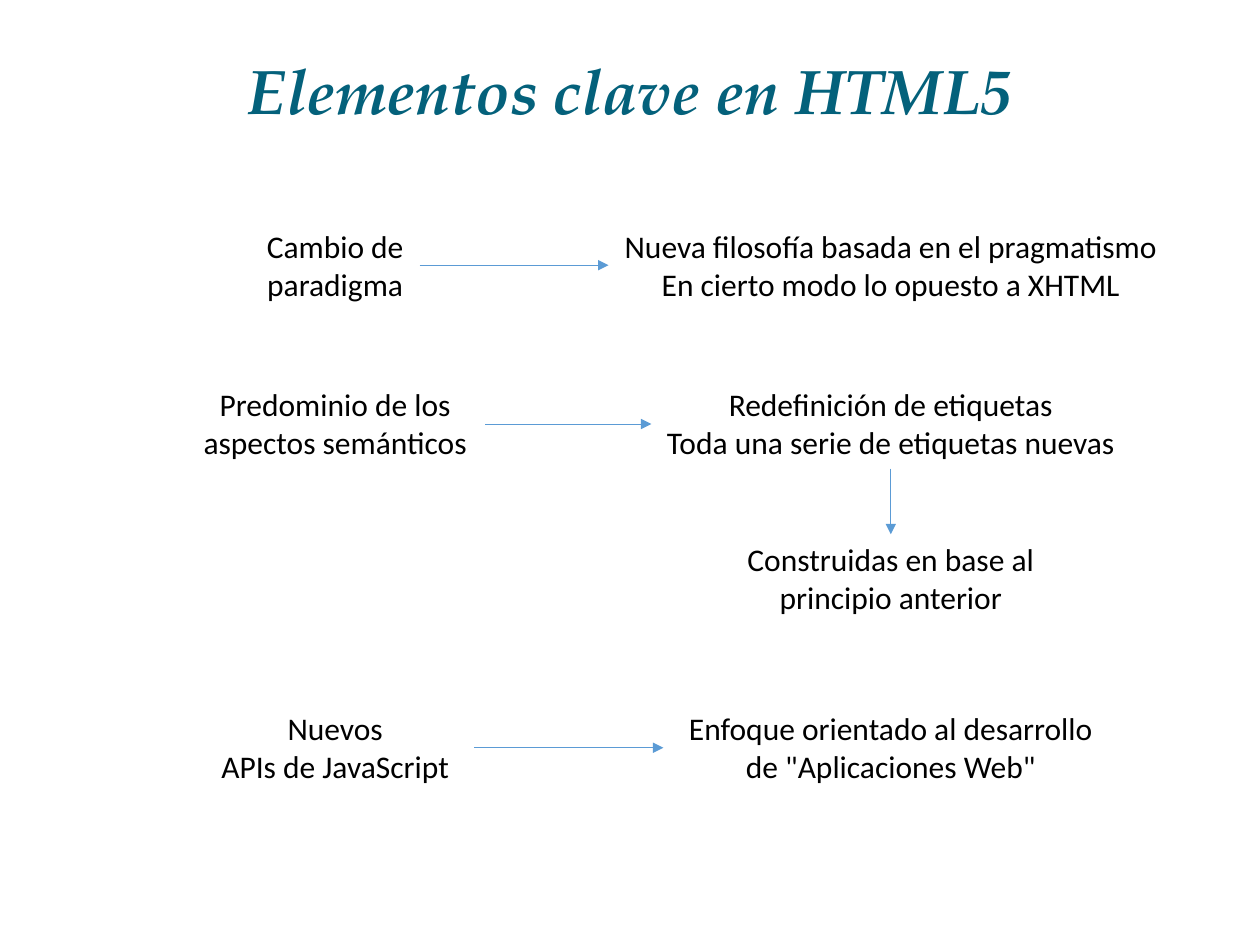
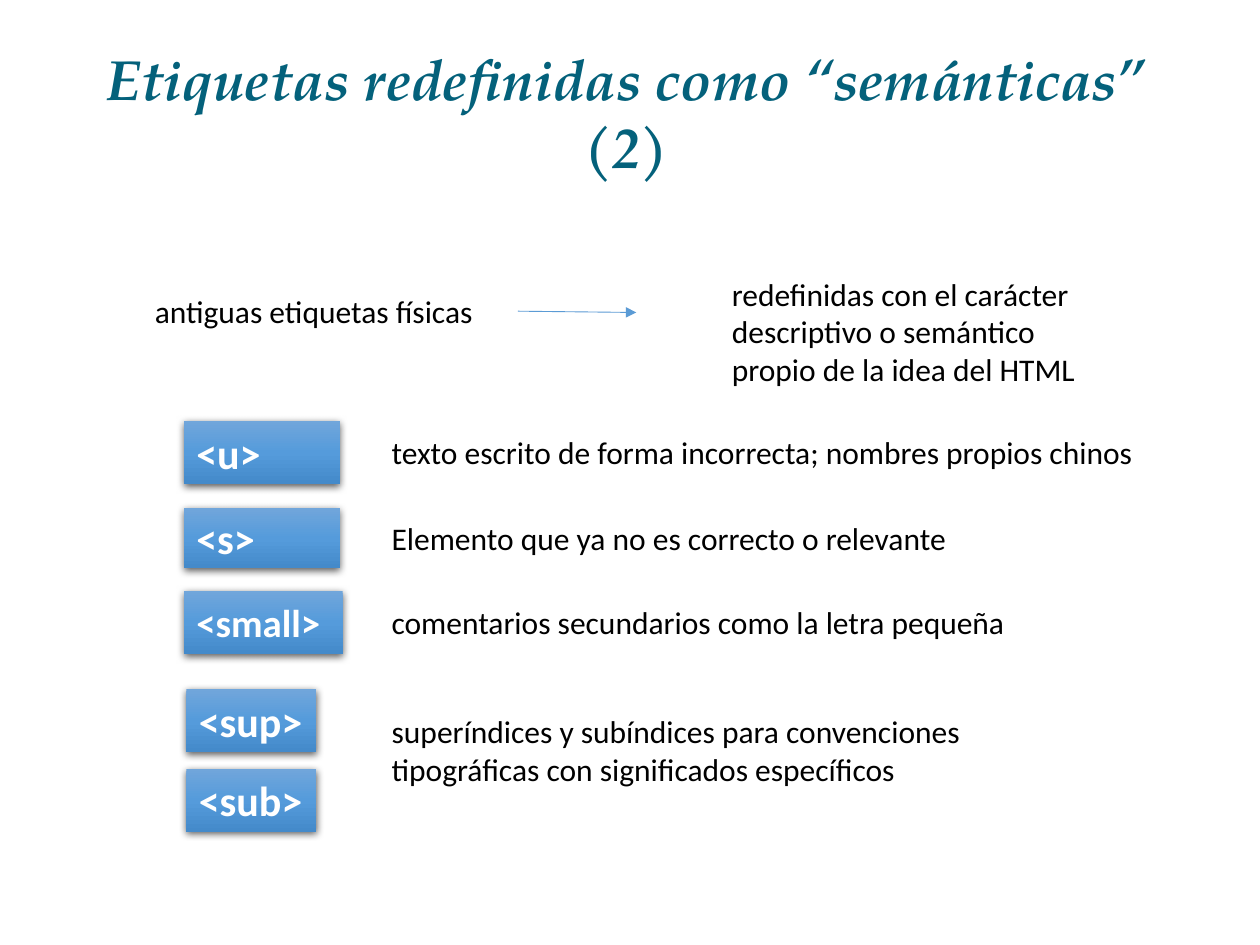
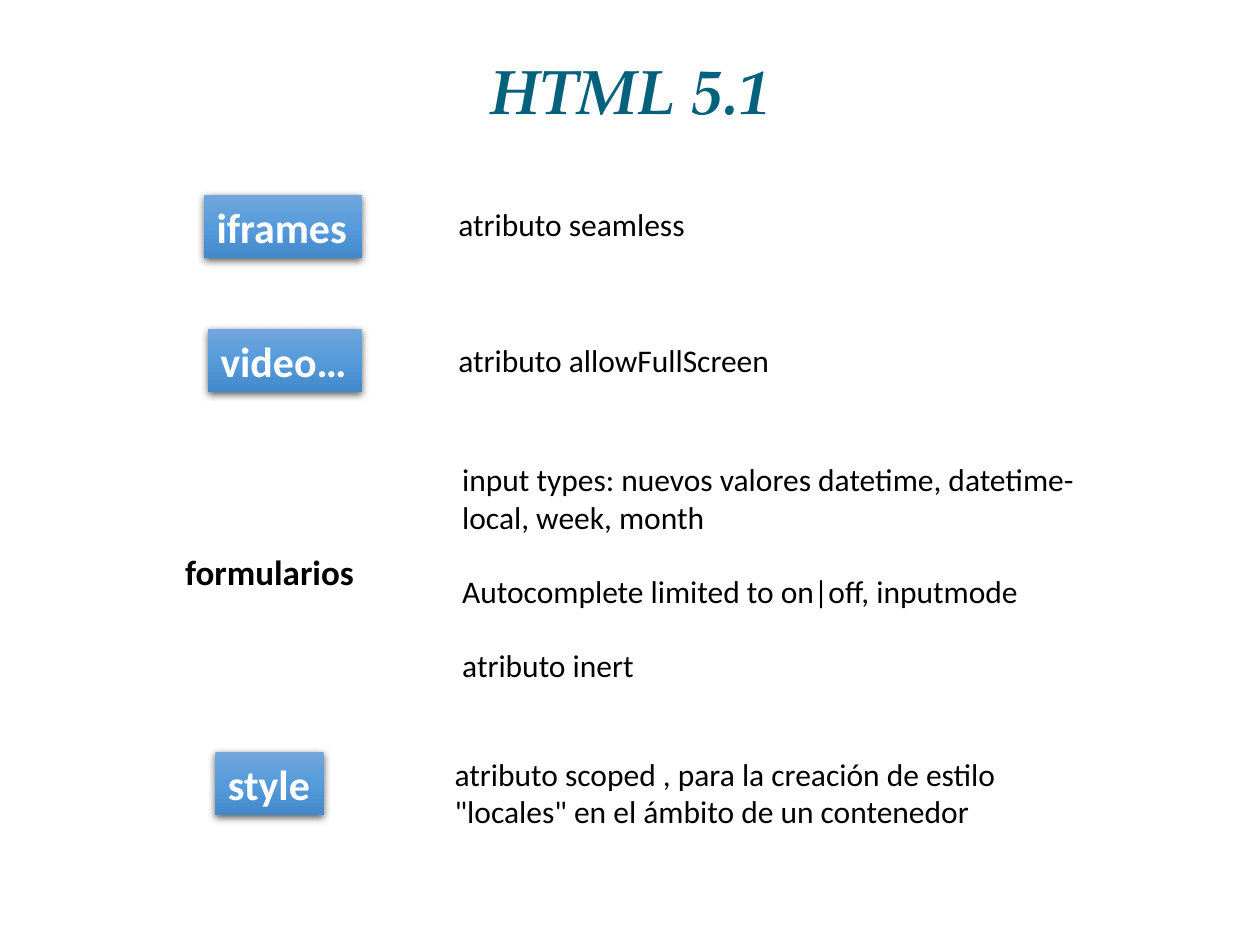
from dataclasses import dataclass

from lxml.etree import SubElement
from pptx import Presentation
from pptx.dml.color import RGBColor
from pptx.enum.shapes import MSO_CONNECTOR, MSO_SHAPE
from pptx.enum.text import MSO_ANCHOR, MSO_AUTO_SIZE, PP_ALIGN
from pptx.oxml import parse_xml
from pptx.oxml.ns import nsdecls, qn
from pptx.util import Inches, Pt


@dataclass(frozen=True)
class Theme:
    title_font: str = "TeX Gyre Pagella"
    body_font: str = "Calibri"
    title: str = "04617B"
    text: str = "000000"
    tag_text: str = "FFFFFF"
    arrow: str = "5B9BD5"
    tag_stops: tuple = ((0, "71A6DB"), (50, "559BDB"), (100, "448ACA"))
    title_size: float = 36
    long_title_size: float = 32.4
    body_size: float = 18
    heading_size: float = 20
    tag_size: float = 24
    small_tag_size: float = 22.2


T = Theme()
ONE_LINE, TWO_LINES, THREE_LINES = 0.4, 0.71, 1.01
TITLE_BOX = (0.69, 0.4, 8.62, 0.7)


def set_font(p, name, size, color, bold=False, italic=False):
    p.font.name = name
    p.font.size = Pt(size)
    p.font.bold = bold
    p.font.italic = italic
    p.font.color.rgb = RGBColor.from_string(color)


def add_title(slide, text, box=TITLE_BOX, size=T.title_size, spacing=0.9):
    tf = slide.shapes.add_textbox(*map(Inches, box)).text_frame
    tf.word_wrap = True
    tf.vertical_anchor = MSO_ANCHOR.MIDDLE
    p = tf.paragraphs[0]
    p.text = text
    p.alignment = PP_ALIGN.CENTER
    p.line_spacing = spacing
    set_font(p, T.title_font, size, T.title, bold=True, italic=True)


def add_text(slide, box, *paragraphs, align=PP_ALIGN.LEFT, size=T.body_size, bold=False):
    """Body text; boxes fitted to one line or to several paragraphs do not wrap."""
    tf = slide.shapes.add_textbox(*map(Inches, box)).text_frame
    tf.word_wrap = box[3] >= TWO_LINES and len(paragraphs) == 1
    tf.auto_size = MSO_AUTO_SIZE.SHAPE_TO_FIT_TEXT
    for i, text in enumerate(paragraphs):
        p = tf.add_paragraph() if i else tf.paragraphs[0]
        p.text = text
        p.alignment = align
        set_font(p, T.body_font, size, T.text, bold)


def add_tag(slide, box, text, size=T.tag_size):
    """Gradient label with a soft shadow below."""
    sp = slide.shapes.add_shape(MSO_SHAPE.RECTANGLE, *map(Inches, box))
    stops = "".join(f'<a:gs pos="{pos * 1000}"><a:srgbClr val="{color}"/></a:gs>'
                    for pos, color in T.tag_stops)
    ns = nsdecls("a")
    for xml in (
        f'<a:gradFill {ns} rotWithShape="1"><a:gsLst>{stops}</a:gsLst>'
        '<a:lin ang="5400000" scaled="0"/></a:gradFill>',
        f'<a:ln {ns}><a:noFill/></a:ln>',
        f'<a:effectLst {ns}><a:outerShdw blurRad="{Pt(4.5)}" dist="{Pt(1.5)}" dir="5400000" '
        'algn="ctr" rotWithShape="0"><a:srgbClr val="000000"><a:alpha val="63000"/>'
        '</a:srgbClr></a:outerShdw></a:effectLst>',
    ):
        sp.element.spPr.append(parse_xml(xml))
    tf = sp.text_frame
    tf.word_wrap = False
    tf.vertical_anchor = MSO_ANCHOR.MIDDLE
    p = tf.paragraphs[0]
    p.text = text
    p.alignment = PP_ALIGN.LEFT
    set_font(p, T.body_font, size, T.tag_text, bold=True)


def add_arrow(slide, start, end):
    line = slide.shapes.add_connector(MSO_CONNECTOR.STRAIGHT, *map(Inches, start + end))
    line.line.color.rgb = RGBColor.from_string(T.arrow)
    line.line.width = Pt(0.5)
    SubElement(line.line._get_or_add_ln(), qn("a:tailEnd"), type="triangle")
    SubElement(line.element.spPr, qn("a:effectLst"))


def key_elements(slide):
    add_title(slide, "Elementos clave en HTML5")
    cause_x, effect_x = 2.66, 7.07  # column centres

    def centred(x, y, width, *paragraphs):
        add_text(slide, (x - width / 2, y, width, TWO_LINES), *paragraphs,
                 align=PP_ALIGN.CENTER)

    # Each cause points to its effect
    rows = [
        (1.75, 1.34, "Cambio de paradigma", 4.48,
         ("Nueva filosofía basada en el pragmatismo", "En cierto modo lo opuesto a XHTML")),
        (3.01, 2.38, "Predominio de los aspectos semánticos", 3.8,
         ("Redefinición de etiquetas", "Toda una serie de etiquetas nuevas")),
        (5.58, 2.21, "Nuevos\vAPIs de JavaScript", 3.61,
         ('Enfoque orientado al desarrollo de "Aplicaciones Web"',)),
    ]
    for y, cause_w, cause, effect_w, effect in rows:
        centred(cause_x, y, cause_w, cause)
        centred(effect_x, y, effect_w, *effect)
        middle = y + TWO_LINES / 2
        add_arrow(slide, (cause_x + cause_w / 2, middle), (effect_x - effect_w / 2, middle))

    # Consequence below the second effect
    centred(effect_x, 4.24, 2.76, "Construidas en base al principio anterior")
    add_arrow(slide, (effect_x, 3.01 + TWO_LINES), (effect_x, 4.24))


def redefined_tags(slide):
    add_title(slide, "Etiquetas redefinidas como “semánticas” (2)",
              (0.66, 0.3, 8.62, 1.18), T.long_title_size, spacing=1.0)

    # From physical to semantic tags
    add_text(slide, (1.13, 2.27, 2.72, ONE_LINE), "antiguas etiquetas físicas")
    add_arrow(slide, (4.11, 2.47), (5.05, 2.48))
    add_text(slide, (5.71, 2.13, 3.21, THREE_LINES),
             "redefinidas con el carácter descriptivo o semántico propio de la idea del HTML")

    # Tags
    for x, y, w, h, name, size in [
        (1.46, 3.34, 1.24, 0.5, "<u>", T.tag_size),
        (1.46, 4.03, 1.24, 0.48, "<s>", T.tag_size),
        (1.46, 4.69, 1.26, 0.5, "<small>", T.small_tag_size),
        (1.48, 5.47, 1.03, 0.5, "<sup>", T.tag_size),
        (1.48, 6.1, 1.03, 0.5, "<sub>", T.tag_size),
    ]:
        add_tag(slide, (x, y, w, h), name, size)

    # Meanings
    for y, w, h, meaning in [
        (3.39, 6.08, ONE_LINE, "texto escrito de forma incorrecta; nombres propios chinos"),
        (4.07, 4.6, ONE_LINE, "Elemento que ya no es correcto o relevante"),
        (4.74, 5.07, ONE_LINE, "comentarios secundarios como la letra pequeña"),
        (5.6, 4.81, TWO_LINES, "superíndices y subíndices para convenciones "
                               "tipográficas con significados específicos"),
    ]:
        add_text(slide, (3.01, y, w, h), meaning)


def html_51(slide):
    add_title(slide, "HTML 5.1")

    # Elements
    for x, y, w, name in [
        (1.62, 1.55, 1.25, "iframes"),
        (1.65, 2.61, 1.22, "video…"),
        (1.71, 5.97, 0.86, "style"),
    ]:
        add_tag(slide, (x, y, w, 0.5), name)
    add_text(slide, (1.37, 4.32, 1.55, 0.44), "formularios", size=T.heading_size, bold=True)

    # Novelties
    for x, y, w, h, novelty in [
        (3.54, 1.58, 2.07, ONE_LINE, "atributo seamless"),
        (3.54, 2.66, 2.7, ONE_LINE, "atributo allowFullScreen"),
        (3.57, 3.6, 5.37, TWO_LINES,
         "input types: nuevos valores datetime, datetime-local, week, month"),
        (3.57, 4.49, 4.67, ONE_LINE, "Autocomplete limited to on|off, inputmode"),
        (3.57, 5.08, 1.58, ONE_LINE, "atributo inert"),
        (3.51, 5.94, 4.91, TWO_LINES, 'atributo scoped , para la creación de estilo '
                                      '"locales" en el ámbito de un contenedor'),
    ]:
        add_text(slide, (x, y, w, h), novelty)


def main():
    prs = Presentation()
    prs.slide_width, prs.slide_height = Inches(10), Inches(7.5)
    for build in (key_elements, redefined_tags, html_51):
        build(prs.slides.add_slide(prs.slide_layouts[6]))
    prs.save("out.pptx")


if __name__ == "__main__":
    main()
